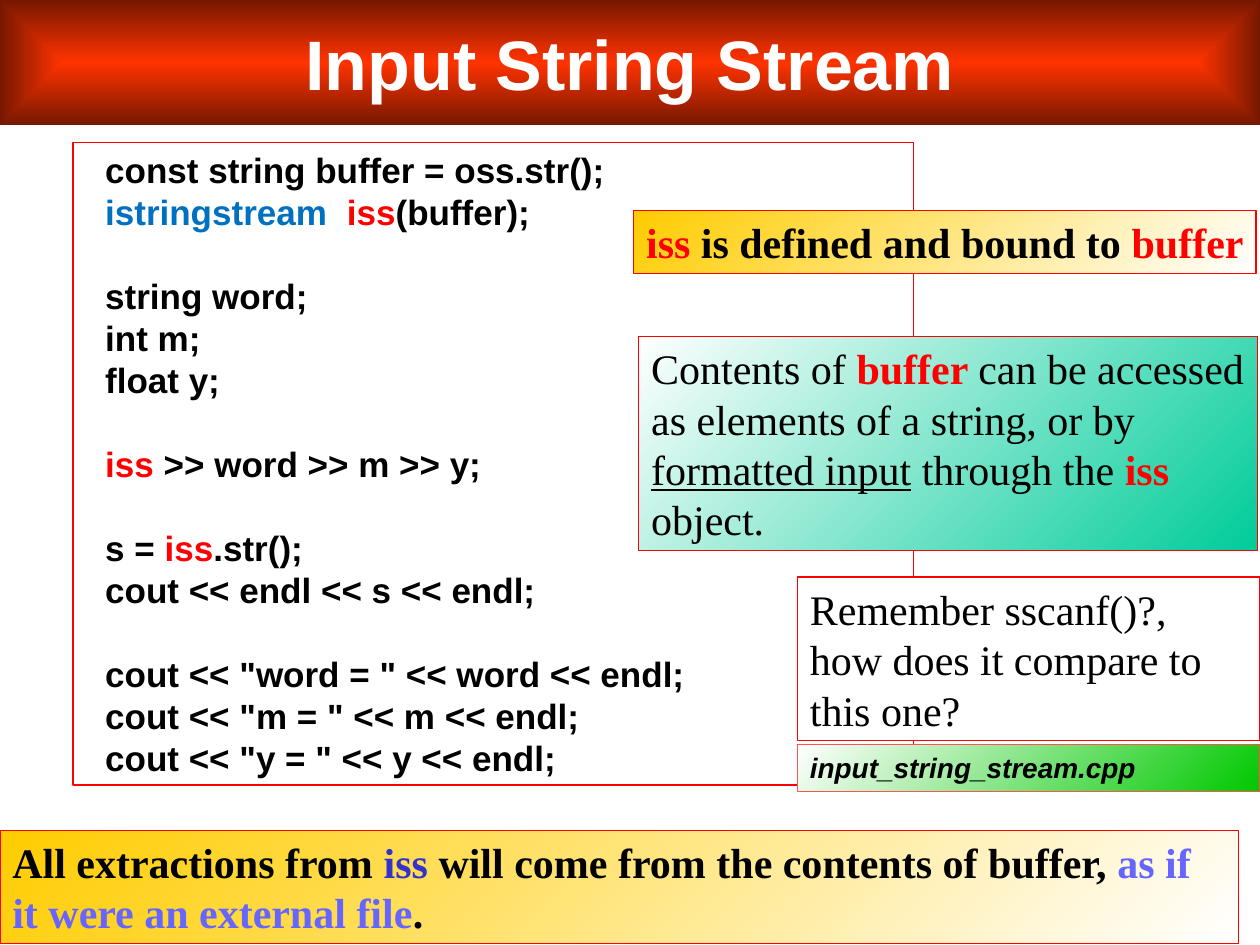
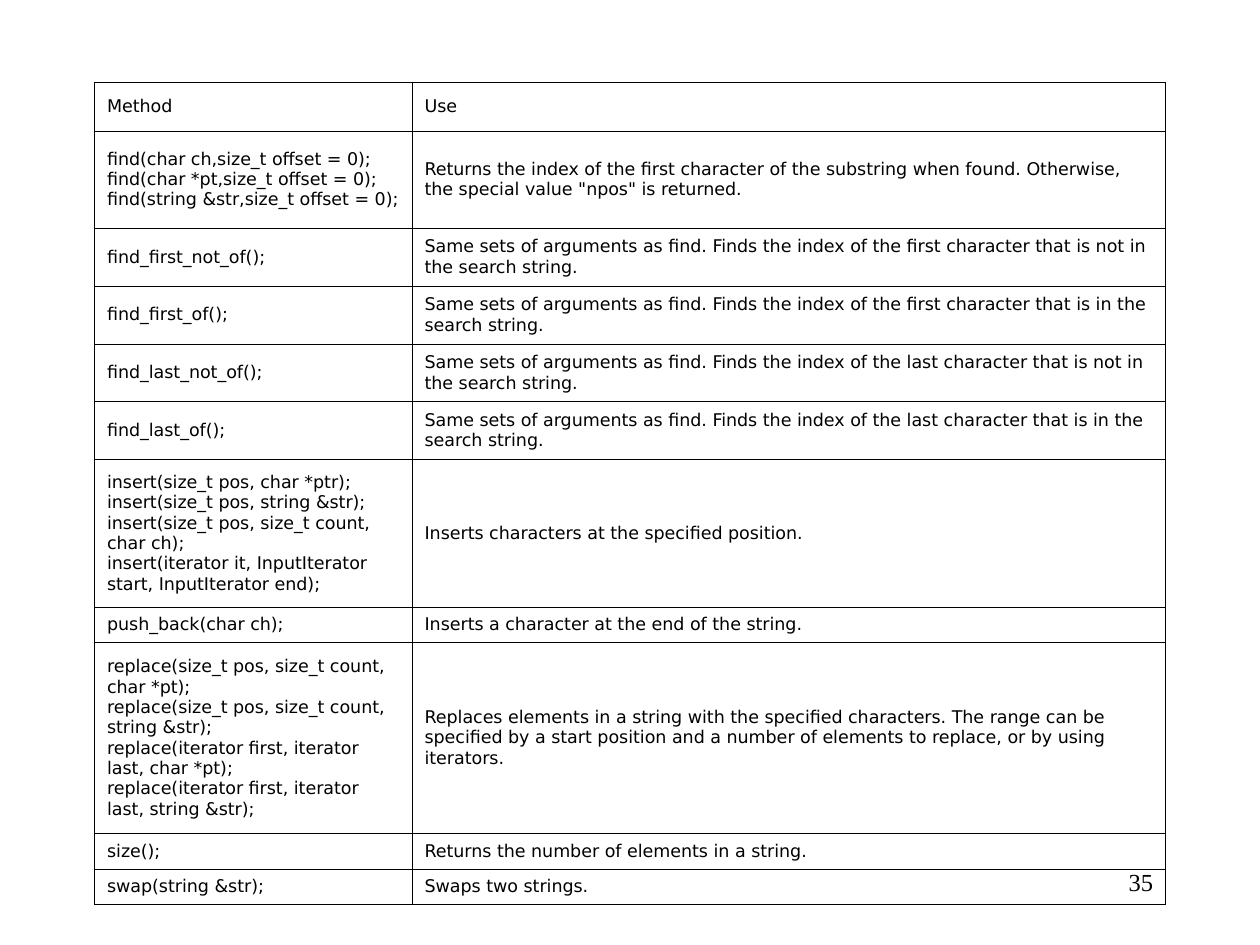
from pptx import Presentation
from pptx import util as u
from pptx.dml.color import RGBColor
from pptx.enum import shapes, text
from pptx.oxml import parse_xml
from pptx.oxml.ns import nsdecls, qn

WIDTH, HEIGHT = u.Inches(10), u.Inches(7.5)
SERIF, SANS, TABLE_FONT = "Times New Roman", "Arial", "DejaVu Sans"
BLACK, WHITE, RED = "000000", "FFFFFF", "FF0000"
BLUE, INDIGO, VIOLET = "0070C0", "3333CC", "6666FF"
GOLD_FADE = ("FFCC00", WHITE)
MINT_FADE = (WHITE, "00CC99")
GREEN_FADE = (WHITE, "00C800")
TITLE_GLOW = ("FF3300", "761800")
LEADING = 1.2

CODE = [
    ["const string buffer = oss.str();"],
    [("istringstream  ", BLUE), ("iss", RED), "(buffer);"],
    [],
    ["string word;"],
    ["int m;"],
    ["float y;"],
    [],
    [("iss ", RED), ">> word >> m >> y;"],
    [],
    ["s = ", ("iss", RED), ".str();"],
    ["cout << endl << s << endl;"],
    [],
    ['cout << "word = " << word << endl;'],
    ['cout << "m = " << m << endl;'],
    ['cout << "y = " << y << endl;'],
]

SAME = "Same sets of arguments as find. Finds the index of the "
# Row height in percent of the slide, method signatures, use
METHODS = [
    (5.2, ["Method"], "Use"),
    (10.27, ["find(char ch,size_t offset = 0);",
             "find(char *pt,size_t offset = 0);",
             "find(string &str,size_t offset = 0);"],
     "Returns the index of the first character of the substring when found. "
     'Otherwise, the special value "npos" is returned.'),
    (6.13, ["find_first_not_of();"],
     SAME + "first character that is not in the search string."),
    (6.13, ["find_first_of();"],
     SAME + "first character that is in the search string."),
    (6.13, ["find_last_not_of();"],
     SAME + "last character that is not in the search string."),
    (6.13, ["find_last_of();"],
     SAME + "last character that is in the search string."),
    (15.6, ["insert(size_t pos, char *ptr);",
            "insert(size_t pos, string &str);",
            "insert(size_t pos, size_t count, char ch);",
            "insert(iterator it, InputIterator start, InputIterator end);"],
     "Inserts characters at the specified position."),
    (3.73, ["push_back(char ch);"],
     "Inserts a character at the end of the string."),
    (20.27, ["replace(size_t pos, size_t count, char *pt);",
             "replace(size_t pos, size_t count, string &str);",
             "replace(iterator first, iterator last, char *pt);",
             "replace(iterator first, iterator last, string &str);"],
     "Replaces elements in a string with the specified characters. The range "
     "can be specified by a start position and a number of elements to "
     "replace, or by using iterators."),
    (3.73, ["size();"], "Returns the number of elements in a string."),
    (3.73, ["swap(string &str);"], "Swaps two strings."),
]


def color(hex_code):
    return RGBColor.from_string(hex_code)


def across(percent):
    return int(WIDTH * percent / 100)


def down(percent):
    return int(HEIGHT * percent / 100)


def area(left, top, width, height):
    return across(left), down(top), across(width), down(height)


def style(run, font, size, hex_code=BLACK, marks=""):
    """Marks: b bold, i italic, u underlined."""
    run.font.name, run.font.size = font, u.Pt(size)
    run.font.color.rgb = color(hex_code)
    run.font.bold = "b" in marks
    run.font.italic = "i" in marks
    run.font.underline = "u" in marks


def write(frame, lines, font, size, marks="", align=text.PP_ALIGN.LEFT):
    """Each line is a list of strings or (string, color, marks) parts.

    An empty line opens a gap above the next one.
    """
    gap, used = 0, 0
    for line in lines:
        if not line:
            gap += size * LEADING
            continue
        paragraph = frame.add_paragraph() if used else frame.paragraphs[0]
        used += 1
        paragraph.alignment = align
        paragraph.line_spacing = u.Pt(size * LEADING)
        paragraph.space_before = u.Pt(gap)
        gap = 0
        for part in line:
            words, *look = (part,) if isinstance(part, str) else part
            run = paragraph.add_run()
            run.text = words
            style(run, font, size, look[0] if look else BLACK,
                  look[1] if len(look) > 1 else marks)


def fade(shape, start, end):
    """Diagonal fade from the top left to the bottom right."""
    shape.fill.gradient()
    shape.fill.gradient_angle = 315
    for stop, hex_code, position in zip(shape.fill.gradient_stops,
                                        (start, end), (0, 1)):
        stop.color.rgb = color(hex_code)
        stop.position = position


def glow_from_center(shape):
    gradient = shape._element.spPr.find(qn("a:gradFill"))
    gradient.replace(gradient.find(qn("a:lin")), parse_xml(
        f'<a:path {nsdecls("a")} path="rect"><a:fillToRect l="50000" '
        't="50000" r="50000" b="50000"/></a:path>'))


def panel(slide, place, fill=None, outline=RED, wrap=True):
    """Rectangle with a fade, a plain fill or none; gives the shape."""
    shape = slide.shapes.add_shape(shapes.MSO_SHAPE.RECTANGLE, *place)
    shape.shadow.inherit = False
    if fill is None:
        shape.fill.background()
    elif isinstance(fill, str):
        shape.fill.solid()
        shape.fill.fore_color.rgb = color(fill)
    else:
        fade(shape, *fill)
    if outline:
        shape.line.color.rgb = color(outline)
        shape.line.width = u.Pt(0.75)
    else:
        shape.line.fill.background()
    shape.text_frame.word_wrap = wrap
    shape.text_frame.vertical_anchor = text.MSO_ANCHOR.TOP
    return shape


def title_band(slide, title):
    band = panel(slide, area(0, 0, 100, 13.2), TITLE_GLOW, outline=None)
    glow_from_center(band)
    band.text_frame.vertical_anchor = text.MSO_ANCHOR.MIDDLE
    write(band.text_frame, [[(title, WHITE, "b")]], SANS, 40,
          align=text.PP_ALIGN.CENTER)


def page_number(slide, number):
    footer = slide.shapes.add_textbox(*area(71.7, 91.07, 20.8, 6.67))
    footer.text_frame.word_wrap = True
    write(footer.text_frame, [[str(number)]], SERIF, 14,
          align=text.PP_ALIGN.RIGHT)


def rule_cell(cell):
    """Thin black line on all four sides."""
    properties = cell._tc.get_or_add_tcPr()
    for index, side in enumerate("LRTB"):
        properties.insert(index, parse_xml(
            f'<a:ln{side} {nsdecls("a")} w="{u.Pt(0.45)}"><a:solidFill>'
            f'<a:srgbClr val="{BLACK}"/></a:solidFill></a:ln{side}>'))


def method_table(slide):
    heights = [row[0] for row in METHODS]
    table = slide.shapes.add_table(
        len(METHODS), 2, *area(7.5, 8.67, 85, sum(heights))).table
    table.first_row = table.horz_banding = False
    for column, share in zip(table.columns, (25.2, 59.8)):
        column.width = across(share)
    for row, (height, signatures, use) in zip(table.rows, METHODS):
        row.height = down(height)
        for cell, words in zip(row.cells, ("\v".join(signatures), use)):
            cell.fill.background()
            rule_cell(cell)
            cell.vertical_anchor = text.MSO_ANCHOR.MIDDLE
            paragraph = cell.text_frame.paragraphs[0]
            paragraph.text = words
            for run in paragraph.runs:
                style(run, TABLE_FONT, 10)


def stream_slide(slide):
    # Conclusion along the bottom
    conclusion = panel(slide, area(0, 87.87, 98.3, 12), GOLD_FADE)
    write(conclusion.text_frame, [
        ["All extractions from ", ("iss ", INDIGO, "b"),
         "will come from the contents of buffer, ", ("as if", VIOLET, "b")],
        [("it were an external file", VIOLET, "b"), "."],
    ], SERIF, 24, "b")

    # Code listing
    listing = panel(slide, area(5.8, 15.07, 66.7, 68))
    listing.text_frame.margin_left = across(2.55)
    bold_code = [[part if isinstance(part, str) else (*part, "b")
                  for part in line] for line in CODE]
    write(listing.text_frame, bold_code, SANS, 20, "b")

    title_band(slide, "Input String Stream")

    # Remarks beside the code
    binding = panel(slide, area(50.3, 22.27, 49.4, 6.67), GOLD_FADE, wrap=False)
    write(binding.text_frame, [
        [("iss", RED, "b"), " is defined and bound to ", ("buffer", RED, "b")],
    ], SERIF, 24, "b")

    access = panel(slide, area(50.7, 35.6, 49.1, 22.67), MINT_FADE, wrap=False)
    write(access.text_frame, [
        ["Contents of ", ("buffer ", RED, "b"), "can be accessed"],
        ["as elements of a string, or by"],
        [("formatted input", BLACK, "u"), " through the ", ("iss", RED, "b")],
        ["object."],
    ], SERIF, 24)

    question = panel(slide, area(63.3, 61.07, 36.7, 17.33), WHITE)
    write(question.text_frame, [
        ["Remember sscanf()?, how does it compare to this one?"],
    ], SERIF, 24)

    source_file = panel(slide, area(63.3, 78.8, 36.7, 4.93), GREEN_FADE,
                        outline="FF5353")
    write(source_file.text_frame, [["input_string_stream.cpp"]], SANS, 16, "bi")


def methods_slide(slide):
    page_number(slide, 35)
    method_table(slide)


def main():
    deck = Presentation()
    deck.slide_width, deck.slide_height = WIDTH, HEIGHT
    blank = deck.slide_layouts[6]
    for build in (stream_slide, methods_slide):
        build(deck.slides.add_slide(blank))
    deck.save("out.pptx")


if __name__ == "__main__":
    main()
